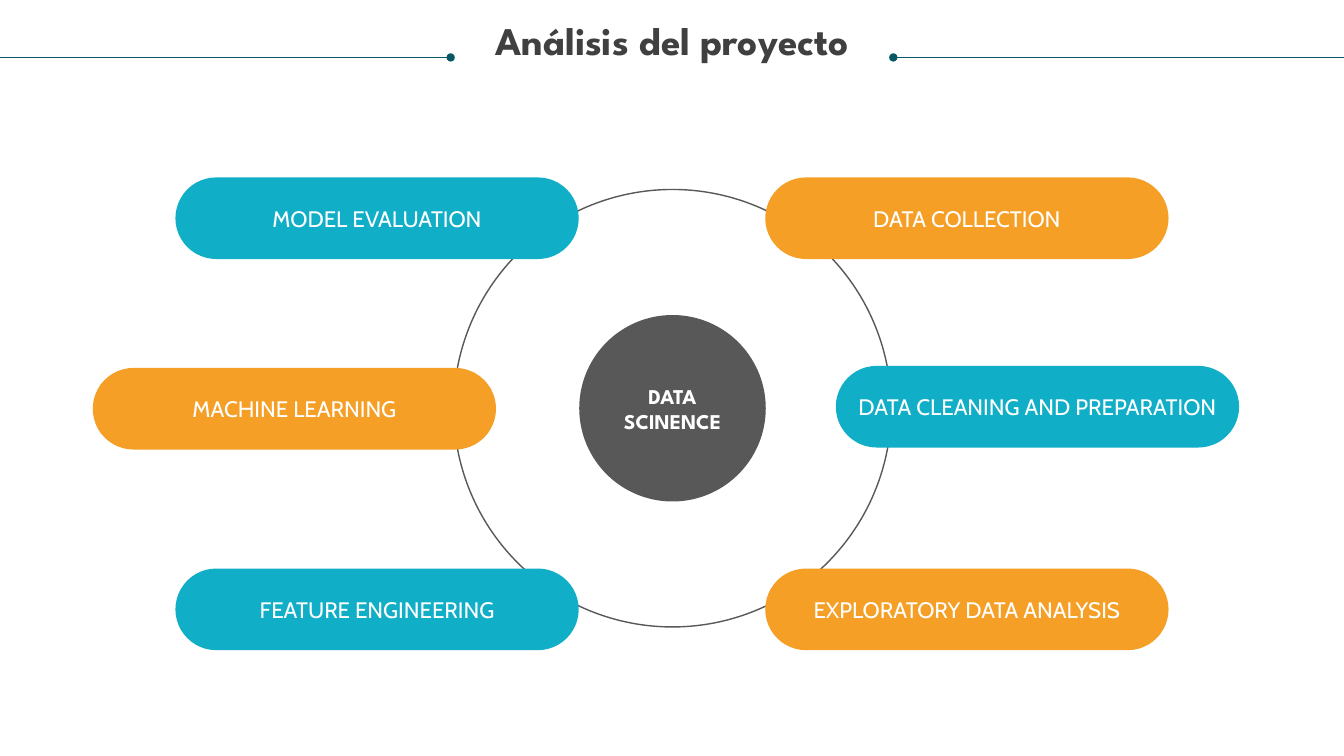
from dataclasses import dataclass

from lxml import etree
from pptx import Presentation
from pptx.dml.color import RGBColor
from pptx.enum.shapes import MSO_CONNECTOR as CONN, MSO_SHAPE as SHAPE
from pptx.enum.text import MSO_ANCHOR as ANCHOR, PP_ALIGN as ALIGN
from pptx.oxml.ns import qn
from pptx.util import Inches, Pt

TITLE = "Análisis del proyecto"
HUB = "DATA SCINENCE"
STAGES = [
    ("DATA COLLECTION", 7.59, 1.76),
    ("DATA CLEANING AND PREPARATION", 8.29, 3.63),
    ("EXPLORATORY DATA ANALYSIS", 7.59, 5.64),
    ("FEATURE ENGINEERING", 1.74, 5.64),
    ("MACHINE LEARNING", 0.92, 3.65),
    ("MODEL EVALUATION", 1.74, 1.76),
]
SLIDE_W, SLIDE_H = 13.33, 7.5
CENTER = (6.67, 4.05)
RING_D, HUB_D = 4.34, 1.85
PILL_W, PILL_H = 4, 0.81
RULE_Y, RULE_LEN = 0.57, 4.47


@dataclass(frozen=True)
class Theme:
    title: str = "404040"
    rule: str = "085764"
    gray: str = "585858"
    white: str = "FFFFFF"
    pills: tuple = ("F59F26", "11AEC7")
    heading_font: str = "League Spartan"
    body_font: str = "Cabin"
    title_size: int = 28
    hub_size: int = 15
    pill_size: int = 16


THEME = Theme()


def rgb(color):
    return RGBColor.from_string(color)


def write(tf, text, font, size, color, bold=False, anchor=ANCHOR.MIDDLE):
    tf.text = text
    tf.word_wrap = True
    tf.vertical_anchor = anchor
    p = tf.paragraphs[0]
    p.alignment = ALIGN.CENTER
    f = p.runs[0].font
    f.name, f.size, f.bold = font, Pt(size), bold
    f.color.rgb = rgb(color)


def add_shape(s, kind, x, y, w, h, fill=None):
    sp = s.shapes.add_shape(kind, Inches(x), Inches(y), Inches(w), Inches(h))
    sp.shadow.inherit = False
    if fill:
        sp.fill.solid()
        sp.fill.fore_color.rgb = rgb(fill)
        sp.line.fill.background()
    else:
        sp.fill.background()
    return sp


def add_circle(s, d, fill=None):
    cx, cy = CENTER
    return add_shape(s, SHAPE.OVAL, cx - d / 2, cy - d / 2, d, d, fill)


def add_rule(s, edge, tip):
    y = Inches(RULE_Y)
    c = s.shapes.add_connector(CONN.STRAIGHT, Inches(edge), y, Inches(tip), y)
    c.line.color.rgb = rgb(THEME.rule)
    c.line.width = Pt(0.5)
    etree.SubElement(c.line._get_or_add_ln(), qn("a:tailEnd"), type="oval")
    etree.SubElement(c._element.spPr, qn("a:effectLst"))


def add_title(s):
    sp = s.shapes.title
    sp.left, sp.top = Inches(0.25), Inches(0.21)
    sp.width, sp.height = Inches(12.83), Inches(0.85)
    tf = sp.text_frame
    tf.margin_left = tf.margin_right = tf.margin_top = tf.margin_bottom = 0
    write(tf, TITLE, THEME.heading_font, THEME.title_size, THEME.title, True, ANCHOR.TOP)
    tf.paragraphs[0].line_spacing = 0.9


def main():
    """Build the project analysis slide."""
    prs = Presentation()
    prs.slide_width, prs.slide_height = Inches(SLIDE_W), Inches(SLIDE_H)
    s = prs.slides.add_slide(prs.slide_layouts[5])
    add_title(s)
    ring = add_circle(s, RING_D)
    ring.line.color.rgb = rgb(THEME.gray)
    ring.line.width = Pt(1)
    add_rule(s, 0, RULE_LEN)
    add_rule(s, SLIDE_W, SLIDE_W - RULE_LEN)
    hub = add_circle(s, HUB_D, THEME.gray)
    write(hub.text_frame, HUB, THEME.heading_font, THEME.hub_size, THEME.white, True)
    for i, (label, x, y) in enumerate(STAGES):
        fill = THEME.pills[i % len(THEME.pills)]
        pill = add_shape(s, SHAPE.ROUNDED_RECTANGLE, x, y, PILL_W, PILL_H, fill)
        pill.adjustments[0] = 0.5
        write(pill.text_frame, label, THEME.body_font, THEME.pill_size, THEME.white)
    prs.save("out.pptx")


if __name__ == "__main__":
    main()
